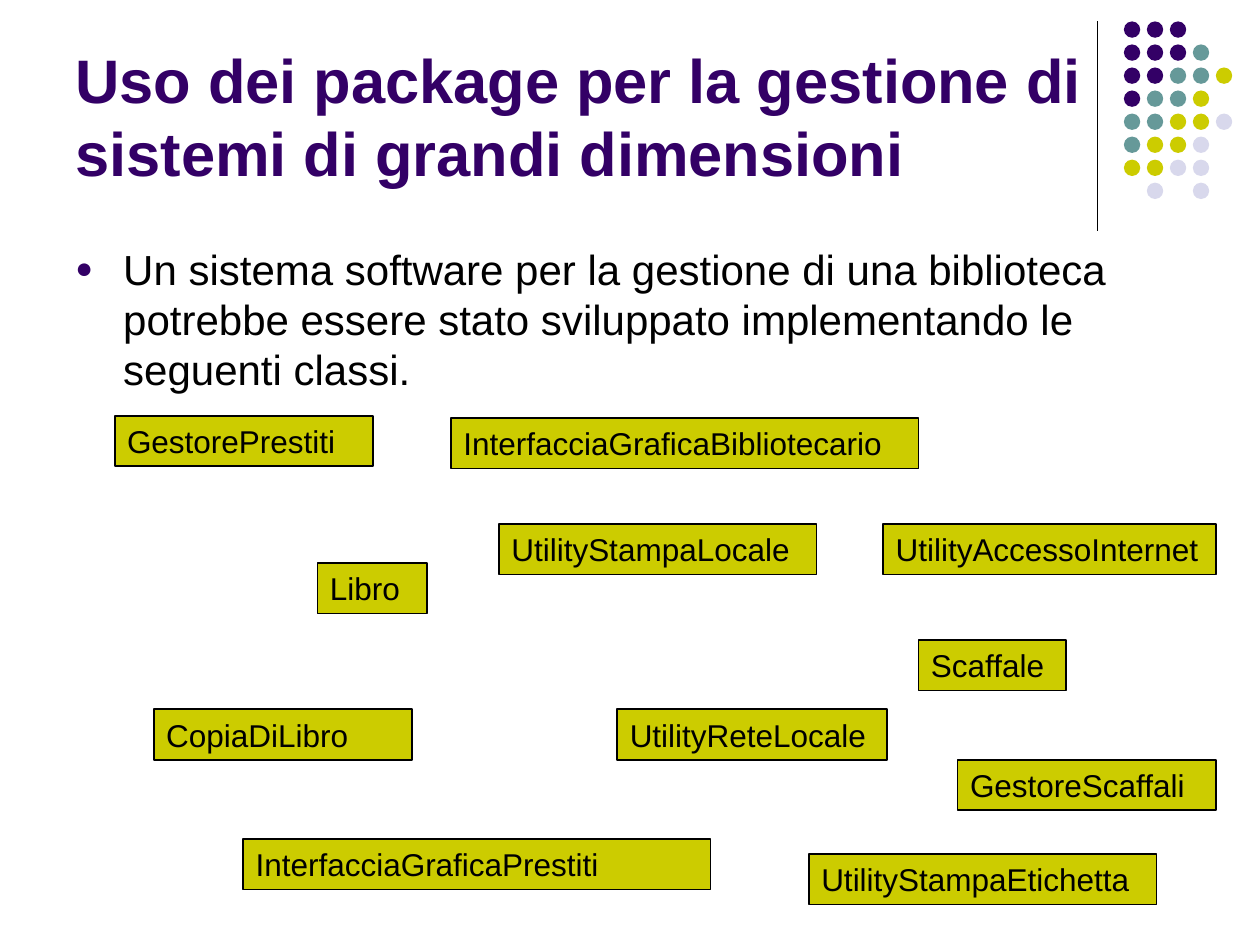
from dataclasses import dataclass

from lxml import etree
from pptx import Presentation
from pptx.dml.color import RGBColor
from pptx.enum.shapes import MSO_CONNECTOR, MSO_SHAPE
from pptx.enum.text import MSO_ANCHOR, MSO_AUTO_SIZE, PP_ALIGN
from pptx.oxml.ns import qn
from pptx.util import Inches, Pt

RECTANGLE, OVAL = MSO_SHAPE.RECTANGLE, MSO_SHAPE.OVAL
STRAIGHT = MSO_CONNECTOR.STRAIGHT
TOP, BOTTOM = MSO_ANCHOR.TOP, MSO_ANCHOR.BOTTOM
LEFT = PP_ALIGN.LEFT
GROW = MSO_AUTO_SIZE.SHAPE_TO_FIT_TEXT


@dataclass(frozen=True)
class Theme:
    font: str = "Arial"
    title_size: float = 35.1
    body_size: float = 24
    class_size: float = 18
    purple: str = "330066"
    teal: str = "669999"
    olive: str = "CCCC00"
    lilac: str = "D8D8EC"
    black: str = "000000"


@dataclass(frozen=True)
class ClassBox:
    name: str
    left: float
    top: float
    width: float


THEME = Theme()
CLASS_HEIGHT = 0.4

CLASSES = [
    ClassBox("GestorePrestiti", 0.91, 3.3, 2.05),
    ClassBox("GestoreScaffali", 7.6, 6.03, 2.05),
    ClassBox("CopiaDiLibro", 1.22, 5.63, 2.05),
    ClassBox("Libro", 2.52, 4.47, 0.87),
    ClassBox("Scaffale", 7.29, 5.08, 1.17),
    ClassBox("InterfacciaGraficaBibliotecario", 3.58, 3.32, 3.71),
    ClassBox("InterfacciaGraficaPrestiti", 1.93, 6.66, 3.71),
    ClassBox("UtilityStampaLocale", 3.96, 4.16, 2.52),
    ClassBox("UtilityReteLocale", 4.9, 5.63, 2.14),
    ClassBox("UtilityAccessoInternet", 7.01, 4.16, 2.64),
    ClassBox("UtilityStampaEtichetta", 6.42, 6.78, 2.76),
]

# Dot pattern: one letter per dot, a space where there is none
DOT_ROWS = ["PPP", "PPPT", "PPTTO", "PTTO", "TTOOL", "TOOL", "OOLL", " L L"]
DOT_COLOURS = {"P": THEME.purple, "T": THEME.teal, "O": THEME.olive, "L": THEME.lilac}
DOT_LEFT, DOT_TOP, DOT_SIZE = 8.92, 0.17, 0.13
DOT_STEP_X, DOT_STEP_Y = 0.73 / 4, 1.28 / 7


def rgb(colour: str) -> RGBColor:
    return RGBColor.from_string(colour)


def add_run(paragraph, text: str, size: float, colour: str, bold: bool = False) -> None:
    paragraph.alignment = LEFT
    run = paragraph.add_run()
    run.text = text
    run.font.name = THEME.font
    run.font.size = Pt(size)
    run.font.bold = bold
    run.font.color.rgb = rgb(colour)


def add_text_frame(slide, left: float, top: float, width: float, height: float, anchor):
    box = slide.shapes.add_textbox(Inches(left), Inches(top), Inches(width), Inches(height))
    frame = box.text_frame
    frame.word_wrap = True
    frame.vertical_anchor = anchor
    return frame


def add_filled(slide, kind, left: float, top: float, width: float, height: float, fill: str):
    shape = slide.shapes.add_shape(
        kind, Inches(left), Inches(top), Inches(width), Inches(height))
    shape.shadow.inherit = False
    shape.fill.solid()
    shape.fill.fore_color.rgb = rgb(fill)
    return shape


def set_bullet(paragraph, colour: str, percent: int, indent: float) -> None:
    properties = paragraph._p.get_or_add_pPr()
    properties.set("marL", str(Inches(indent)))
    properties.set("indent", str(-Inches(indent)))
    bullet_colour = etree.SubElement(properties, qn("a:buClr"))
    etree.SubElement(bullet_colour, qn("a:srgbClr"), val=colour)
    etree.SubElement(properties, qn("a:buSzPct"), val=str(percent * 1000))
    etree.SubElement(properties, qn("a:buFont"), typeface=THEME.font)
    etree.SubElement(properties, qn("a:buChar"), char="●")


def add_divider(slide) -> None:
    divider = slide.shapes.add_connector(
        STRAIGHT, Inches(8.71), Inches(0.17), Inches(8.71), Inches(1.83))
    divider.line.color.rgb = rgb(THEME.black)
    divider.line.width = Pt(0.75)
    etree.SubElement(divider._element.spPr, qn("a:effectLst"))


def add_dots(slide) -> None:
    for row, letters in enumerate(DOT_ROWS):
        for column, letter in enumerate(letters):
            if letter in DOT_COLOURS:
                dot = add_filled(
                    slide, OVAL, DOT_LEFT + column * DOT_STEP_X, DOT_TOP + row * DOT_STEP_Y,
                    DOT_SIZE, DOT_SIZE, DOT_COLOURS[letter])
                dot.line.fill.background()


def add_class(slide, item: ClassBox) -> None:
    box = add_filled(
        slide, RECTANGLE, item.left, item.top, item.width, CLASS_HEIGHT, THEME.olive)
    box.line.color.rgb = rgb(THEME.black)
    box.line.width = Pt(1)
    frame = box.text_frame
    frame.word_wrap = True
    frame.auto_size = GROW
    frame.vertical_anchor = TOP
    add_run(frame.paragraphs[0], item.name, THEME.class_size, THEME.black)


def main() -> None:
    presentation = Presentation()
    presentation.slide_width = Inches(10)
    presentation.slide_height = Inches(7.5)
    slide = presentation.slides.add_slide(presentation.slide_layouts[6])

    # Corner decoration
    add_divider(slide)
    add_dots(slide)

    # Title
    title = add_text_frame(slide, 0.5, 0.13, 8.25, 1.42, BOTTOM)
    add_run(title.paragraphs[0],
            "Uso dei package per la gestione di sistemi di grandi dimensioni",
            THEME.title_size, THEME.purple, bold=True)

    # Introduction
    introduction = add_text_frame(slide, 0.5, 1.88, 8.83, 1.32, TOP).paragraphs[0]
    set_bullet(introduction, THEME.purple, percent=70, indent=0.38)
    add_run(introduction,
            "Un sistema software per la gestione di una biblioteca potrebbe essere "
            "stato sviluppato implementando le seguenti classi.",
            THEME.body_size, THEME.black)

    # Classes of the library system
    for item in CLASSES:
        add_class(slide, item)

    presentation.save("out.pptx")


if __name__ == "__main__":
    main()
